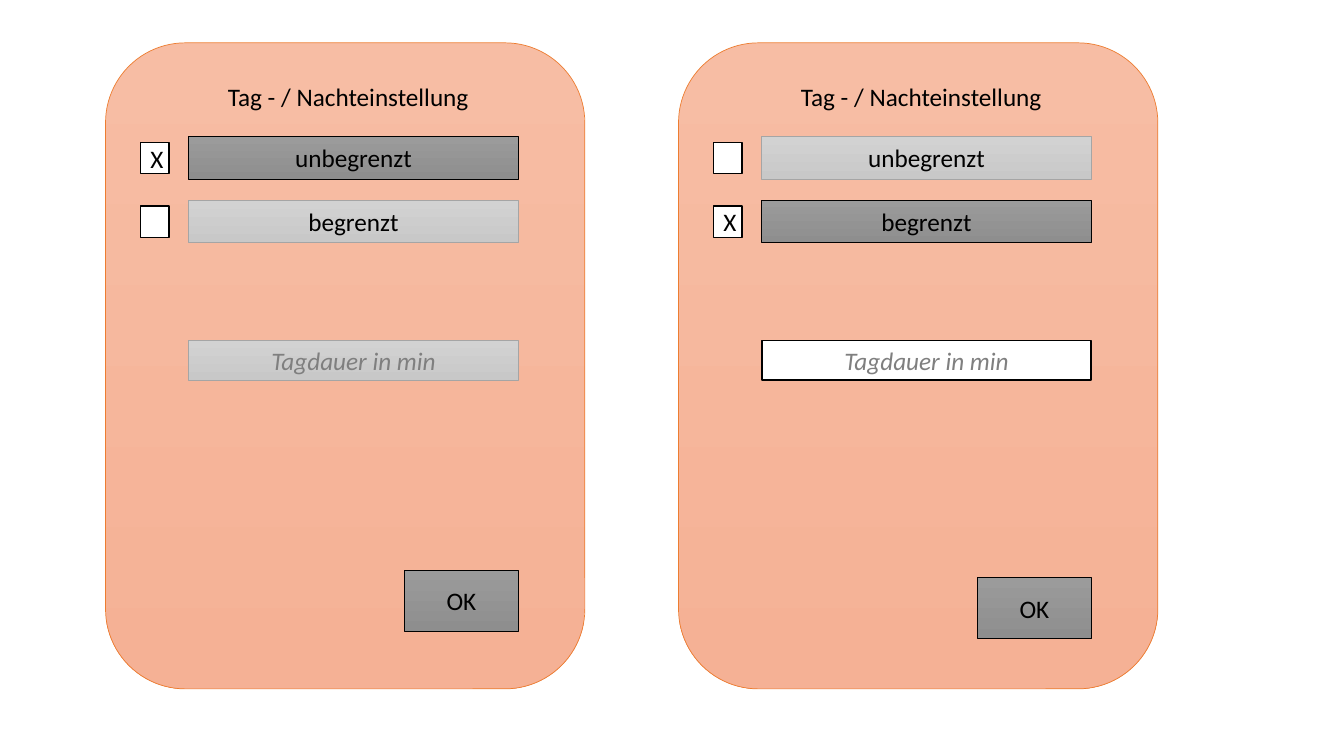
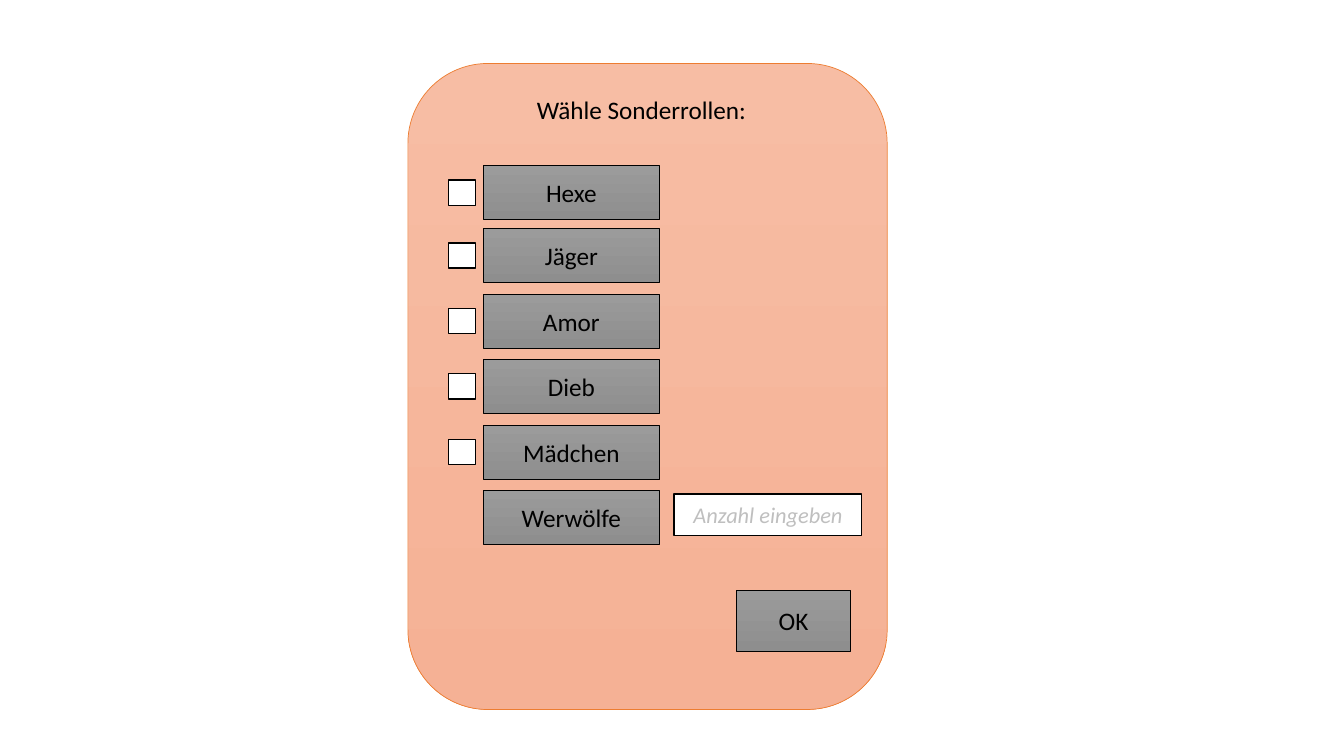
"""Build two slides of settings-dialog mockups."""
from collections import namedtuple

from pptx import Presentation
from pptx.dml.color import RGBColor
from pptx.enum.shapes import MSO_SHAPE as Shape
from pptx.enum.text import MSO_ANCHOR as Anchor, MSO_AUTO_SIZE as AutoSize, PP_ALIGN as Align
from pptx.util import Cm, Pt

BLACK = RGBColor(0x00, 0x00, 0x00)
WHITE = RGBColor(0xFF, 0xFF, 0xFF)
ORANGE = RGBColor(0xED, 0x7D, 0x31)
PEACH_TOP = RGBColor(0xF7, 0xBD, 0xA4)
PEACH_BOTTOM = RGBColor(0xF5, 0xB1, 0x95)
DARK_TOP = RGBColor(0x9B, 0x9B, 0x9B)
DARK_BOTTOM = RGBColor(0x8E, 0x8E, 0x8E)
LIGHT_TOP = RGBColor(0xD2, 0xD2, 0xD2)
LIGHT_BOTTOM = RGBColor(0xC8, 0xC8, 0xC8)
LIGHT_LINE = RGBColor(0xA5, 0xA5, 0xA5)
HINT = RGBColor(0x7F, 0x7F, 0x7F)
PALE_HINT = RGBColor(0xBF, 0xBF, 0xBF)

FONT = "Calibri"
Style = namedtuple("Style", "fills line width")
PANEL = Style((PEACH_TOP, PEACH_BOTTOM), ORANGE, 0.5)
ACTIVE = Style((DARK_TOP, DARK_BOTTOM), BLACK, 0.5)
INACTIVE = Style((LIGHT_TOP, LIGHT_BOTTOM), LIGHT_LINE, 0.5)
PLAIN = Style((WHITE,), BLACK, 1)


def write(tf, text, align=Align.CENTER, size=18, color=BLACK, italic=False):
    """Write one styled paragraph into a text frame."""
    tf.word_wrap = True
    p = tf.paragraphs[0]
    p.text = text
    p.alignment = align
    p.font.name = FONT
    p.font.size = Pt(size)
    p.font.color.rgb = color
    p.font.italic = italic


def add_box(s, x, y, w, h, style, text="", kind=Shape.RECTANGLE, **font):
    """Add a filled, outlined shape with optional centred text."""
    sp = s.shapes.add_shape(kind, Cm(x), Cm(y), Cm(w), Cm(h))
    sp.shadow.inherit = False
    if len(style.fills) == 1:
        sp.fill.solid()
        sp.fill.fore_color.rgb = style.fills[0]
    else:
        sp.fill.gradient()
        sp.fill.gradient_angle = 270
        for stop, color in zip(sp.fill.gradient_stops, style.fills):
            stop.color.rgb = color
    sp.line.color.rgb = style.line
    sp.line.width = Pt(style.width)
    if text:
        sp.text_frame.vertical_anchor = Anchor.MIDDLE
        write(sp.text_frame, text, **font)


def add_panel(s, x, y):
    """Add the rounded dialog background."""
    add_box(s, x, y, 12.08, 16.28, PANEL, kind=Shape.ROUNDED_RECTANGLE)


def add_title(s, x, y, w, text, align=Align.CENTER):
    """Add the dialog heading."""
    tf = s.shapes.add_textbox(Cm(x), Cm(y), Cm(w), Cm(1.03)).text_frame
    tf.auto_size = AutoSize.SHAPE_TO_FIT_TEXT
    write(tf, text, align)


def add_ok(s, x, y):
    """Add the confirming button."""
    add_box(s, x, y, 2.88, 1.54, ACTIVE, "OK")


def add_time_dialog(s, x, chosen, field_style, ok_top):
    """Add a day and night dialog with one option chosen."""
    left, width = x + 2.1, 8.3
    add_panel(s, x, 1.08)
    add_title(s, left, 1.93, 8.03, "Tag - / Nachteinstellung")
    for i, option in enumerate(("unbegrenzt", "begrenzt")):
        y = 3.44 + 1.6 * i
        on = option == chosen
        add_box(s, left, y, width, 1.08, ACTIVE if on else INACTIVE, option)
        add_box(s, x + 0.88, y + 0.15, 0.72, 0.79, PLAIN, "X" if on else "")
    add_box(s, left, 8.58, width, 1, field_style, "Tagdauer in min", color=HINT, italic=True)
    add_ok(s, x + 7.53, ok_top)


def add_role_dialog(s):
    """Add the dialog for choosing special roles."""
    add_panel(s, 10.28, 1.6)
    add_title(s, 13.28, 2.24, 7.34, "Wähle Sonderrollen:", Align.LEFT)
    roles = ("Hexe", "Jäger", "Amor", "Dieb", "Mädchen", "Werwölfe")
    tops = [4.18] + [5.76 + 1.65 * i for i in range(len(roles) - 1)]
    for role, y in zip(roles, tops):
        add_box(s, 12.18, y, 4.44, 1.36, ACTIVE, role)
        if role != "Werwölfe":
            add_box(s, 11.31, y + 0.36, 0.68, 0.64, PLAIN)
    add_box(s, 16.99, 12.45, 4.73, 1.04, PLAIN, "Anzahl eingeben",
            size=16, color=PALE_HINT, italic=True)
    add_ok(s, 18.56, 14.87)


def main():
    """Build and save the presentation."""
    prs = Presentation()
    prs.slide_width, prs.slide_height = Cm(33.87), Cm(19.05)
    blank = prs.slide_layouts[6]
    s = prs.slides.add_slide(blank)
    add_time_dialog(s, 2.66, "unbegrenzt", INACTIVE, 14.37)
    add_time_dialog(s, 17.1, "begrenzt", PLAIN, 14.56)
    add_role_dialog(prs.slides.add_slide(blank))
    prs.save("out.pptx")


if __name__ == "__main__":
    main()
